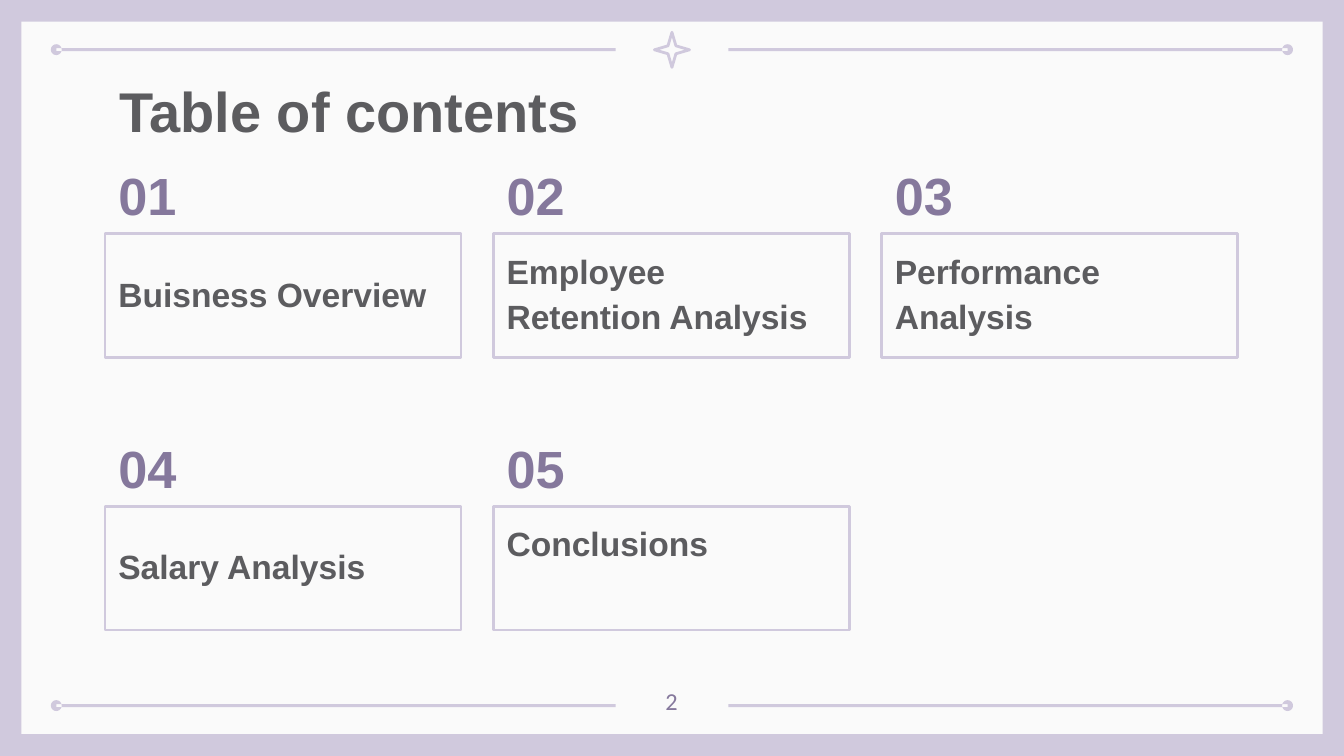
from math import cos, pi, sin

from pptx import Presentation
from pptx.dml.color import RGBColor
from pptx.enum.shapes import MSO_SHAPE as SHAPE
from pptx.enum.text import MSO_AUTO_SIZE as AUTO, MSO_ANCHOR as ANCHOR, PP_ALIGN as ALIGN
from pptx.util import Pt

LILAC, PAPER, PURPLE, GREY = "D0C9DD", "FAFAFA", "85789C", "5C5C5F"
W, H = 720, 405

TITLE = {"name": "Arial", "size": Pt(30), "bold": True}
NUMBER = {"name": "Arial", "size": Pt(28), "bold": True}
ITEM = {"name": "Arial", "size": Pt(18), "bold": True}
PAGE = {"name": "Calibri", "size": Pt(13), "bold": False}

LEFT, TOP = 56.2, 125.3
COL_STEP, ROW_STEP = 208, 146
BOX_W, BOX_H, INSET = 190.8, 66.2, 7.2

ITEMS = [
    (["Buisness Overview"], 170, 25, 38),
    (["Employee", "Retention Analysis"], 170.6, 13, 43),
    (["Performance", "Analysis"], 129.6, 13, 42.5),
    (["Salary Analysis"], 141.8, 24.5, 44),
    (["Conclusions"], 111.6, 12.3, 43),
]


def rgb(value):
    return RGBColor.from_string(value)


def paint(sp, fill=None, line=None):
    sp.shadow.inherit = False
    if fill:
        sp.fill.solid()
        sp.fill.fore_color.rgb = rgb(fill)
    else:
        sp.fill.background()
    if line:
        sp.line.color.rgb = rgb(line)
        sp.line.width = Pt(1.5)
    else:
        sp.line.fill.background()


def add_preset(s, kind, x, y, w, h, fill=None, line=None):
    sp = s.shapes.add_shape(kind, Pt(x), Pt(y), Pt(w), Pt(h))
    paint(sp, fill, line)
    return sp


def add_text(s, x, y, w, h, lines, color, fmt, spacings):
    sp = s.shapes.add_textbox(Pt(x), Pt(y), Pt(w), Pt(h))
    tf = sp.text_frame
    frame = {"word_wrap": False, "auto_size": AUTO.SHAPE_TO_FIT_TEXT,
             "vertical_anchor": ANCHOR.TOP, "margin_left": 0,
             "margin_top": 0, "margin_right": 0, "margin_bottom": 0}
    for key, value in frame.items():
        setattr(tf, key, value)
    for i, (line, spacing) in enumerate(zip(lines, spacings)):
        p = tf.add_paragraph() if i else tf.paragraphs[0]
        p.alignment = ALIGN.LEFT
        p.line_spacing = Pt(spacing)
        r = p.add_run()
        r.text = line
        for key, value in fmt.items():
            setattr(r.font, key, value)
        r.font.color.rgb = rgb(color)


def add_dotted_rule(s, dot_x, end_x, y, radius=2.9, half=0.8, steps=24):
    bar = [(dot_x, y - half), (end_x, y - half), (end_x, y + half), (dot_x, y + half)]
    turns = [2 * pi * i / steps for i in range(steps)]
    side = 1 if end_x > dot_x else -1
    dot = [(dot_x + radius * sin(a), y + side * radius * cos(a)) for a in turns]
    bar, dot = [[(Pt(px), Pt(py)) for px, py in pts] for pts in (bar, dot)]
    fb = s.shapes.build_freeform(*bar[0], scale=1.0)
    fb.add_line_segments(bar[1:], close=True)
    fb.move_to(*dot[0])
    fb.add_line_segments(dot[1:], close=True)
    paint(fb.convert_to_shape(), fill=LILAC)


def add_frame(s):
    add_preset(s, SHAPE.RECTANGLE, 0, 0, W, H, fill=LILAC)
    add_preset(s, SHAPE.RECTANGLE, 11.5, 11.6, W - 23, H - 23.4, fill=PAPER)
    for y in (26.6, 378):
        add_dotted_rule(s, 30.2, 329.8, y)
        add_dotted_rule(s, W - 30.2, W - 329.8, y)
    star = add_preset(s, SHAPE.STAR_4_POINT, 350.6, 17.3, 18.8, 18.8, line=LILAC)
    star.adjustments[0] = 0.16


def add_item(s, index, lines, text_w, offset, number_w):
    row, col = divmod(index, 3)
    x, y = LEFT + col * COL_STEP, TOP + row * ROW_STEP
    add_text(s, x + INSET, y - 31, number_w, 27, [f"{index + 1:02d}"], PURPLE, NUMBER, [27])
    add_preset(s, SHAPE.RECTANGLE, x, y, BOX_W, BOX_H, line=LILAC)
    add_text(s, x + INSET, y + offset, text_w, 18 + 24 * (len(lines) - 1),
             lines, GREY, ITEM, [18, 24])


def main():
    prs = Presentation()
    prs.slide_width, prs.slide_height = Pt(W), Pt(H)
    s = prs.slides.add_slide(prs.slide_layouts[6])
    add_frame(s)
    add_text(s, 64, 46.8, 267.8, 30, ["Table of contents"], GREY, TITLE, [30])
    for index, item in enumerate(ITEMS):
        add_item(s, index, *item)
    add_text(s, 356.4, 371.5, 18, 12, ["2"], PURPLE, PAGE, [12])
    prs.save("out.pptx")


if __name__ == "__main__":
    main()
